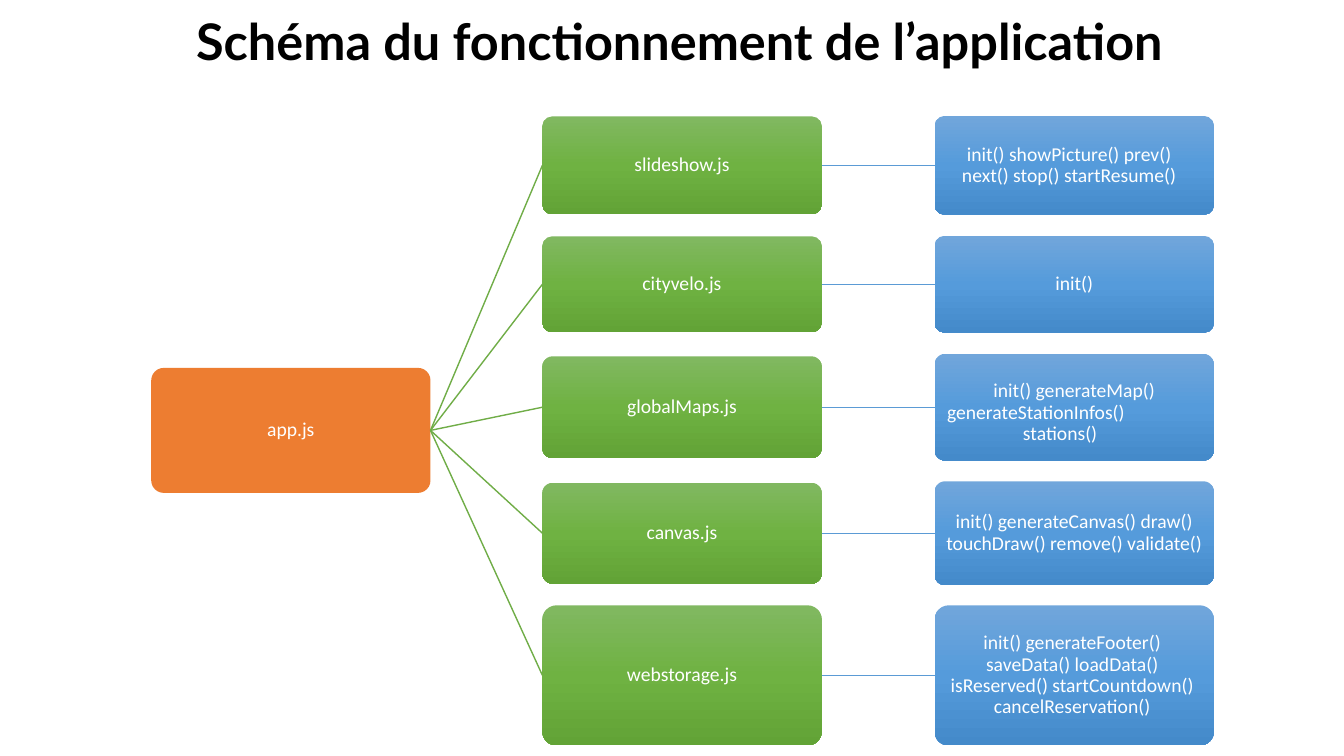
from copy import deepcopy
from pptx import Presentation
from pptx.dml.color import RGBColor
from pptx.enum import shapes, text
from pptx.oxml import ns, xmlchemy as xc
from pptx.util import Inches, Pt

TITLE = "Schéma du fonctionnement de l’application"
ROOT = "app.js"
# center y, file height, call height, top inset, file, lines of calls with sideways shift
ROWS = [
    (1.64, 0.97, 0.98, 0.01, "slideshow.js",
     [("init() showPicture() prev()", -0.05), ("next() stop() startResume()", 0)]),
    (2.82, 0.95, 0.96, 0.01, "cityvelo.js", [("init()", 0)]),
    (4.04, 1.01, 1.06, 0.12, "globalMaps.js",
     [("init() generateMap()", 0), ("generateStationInfos()", -0.38), ("stations()", 0.24)]),
    (5.29, 1, 1.03, 0.01, "canvas.js",
     [("init() generateCanvas() draw()", 0), ("touchDraw() remove() validate()", 0)]),
    (6.7, 1.39, 1.39, 0.01, "webstorage.js",
     [("init() generateFooter()", -0.02), ("saveData() loadData()", 0),
      ("isReserved() startCountdown()", 0), ("cancelReservation()", 0)]),
]
ROOT_X, FILE_X, CALL_X = 1.5, 5.38, 9.27
WIDE = 2.77

BLACK = RGBColor(0, 0, 0)
WHITE = RGBColor(0xFF, 0xFF, 0xFF)
ORANGE = RGBColor(0xED, 0x7D, 0x31)
GREEN = RGBColor(0x70, 0xAD, 0x47)
BLUE = RGBColor(0x5B, 0x9B, 0xD5)
GREENS = [RGBColor(0x81, 0xB8, 0x61), RGBColor(0x6F, 0xB2, 0x42), RGBColor(0x62, 0xA3, 0x36)]
BLUES = [RGBColor(0x71, 0xA6, 0xDB), RGBColor(0x55, 0x9B, 0xDB), RGBColor(0x44, 0x8A, 0xCA)]


def write(para, words, size, font, color, bold=False):
    para.alignment = text.PP_ALIGN.CENTER
    para.line_spacing = 0.9
    para.space_before = para.space_after = Pt(0)
    run = para.add_run()
    run.text = words
    run.font.size = Pt(size)
    run.font.name = font
    run.font.bold = bold
    run.font.color.rgb = color


def blend(box, colors):
    box.fill.gradient()
    box.fill.gradient_angle = 270
    stops = box._element.spPr.find(".//" + ns.qn("a:gsLst"))
    stops.append(deepcopy(stops[-1]))
    for stop, color, place in zip(box.fill.gradient_stops, colors, (0, 0.5, 1)):
        stop.color.rgb = color
        stop.position = place


def add_box(slide, left, mid, high, colors, lines, top=0.01):
    box = slide.shapes.add_shape(
        shapes.MSO_SHAPE.ROUNDED_RECTANGLE,
        Inches(left), Inches(mid - high / 2), Inches(WIDE), Inches(high))
    box.adjustments[0] = 0.1
    box.shadow.inherit = False
    box.line.fill.background()
    if len(colors) == 1:
        box.fill.solid()
        box.fill.fore_color.rgb = colors[0]
    else:
        blend(box, colors)
    frame = box.text_frame
    frame.word_wrap = True
    frame.vertical_anchor = text.MSO_ANCHOR.MIDDLE
    frame.margin_left = frame.margin_right = frame.margin_bottom = Inches(0.01)
    frame.margin_top = Inches(top)
    for num, (words, shift) in enumerate(lines):
        para = frame.add_paragraph() if num else frame.paragraphs[0]
        write(para, words, 14, "Calibri", WHITE)
        if shift:
            side = "marL" if shift > 0 else "marR"
            para._p.get_or_add_pPr().set(side, str(Inches(abs(shift) * 2)))
    return box


def join(slide, start, end, color):
    line = slide.shapes.add_connector(shapes.MSO_CONNECTOR.STRAIGHT, 0, 0, 0, 0)
    line.begin_connect(start, 3)
    line.end_connect(end, 1)
    line.line.color.rgb = color
    line.line.width = Pt(1)
    line._element.spPr.append(xc.OxmlElement("a:effectLst"))


def main():
    deck = Presentation()
    deck.slide_width, deck.slide_height = Inches(13.33), Inches(7.5)
    slide = deck.slides.add_slide(deck.slide_layouts[5])

    title = slide.shapes.title
    title.left, title.top = Inches(1.32), Inches(0.05)
    title.width, title.height = Inches(10.84), Inches(0.78)
    title.text_frame.vertical_anchor = text.MSO_ANCHOR.MIDDLE
    write(title.text_frame.paragraphs[0], TITLE, 36, "Lato", BLACK, True)

    root = add_box(slide, ROOT_X, 4.27, 1.24, [ORANGE], [(ROOT, 0)])
    for mid, high, tall, top, name, calls in ROWS:
        file = add_box(slide, FILE_X, mid, high, GREENS, [(name, 0)])
        call = add_box(slide, CALL_X, mid, tall, BLUES, calls, top)
        join(slide, root, file, GREEN)
        join(slide, file, call, BLUE)

    deck.save("out.pptx")


if __name__ == "__main__":
    main()
